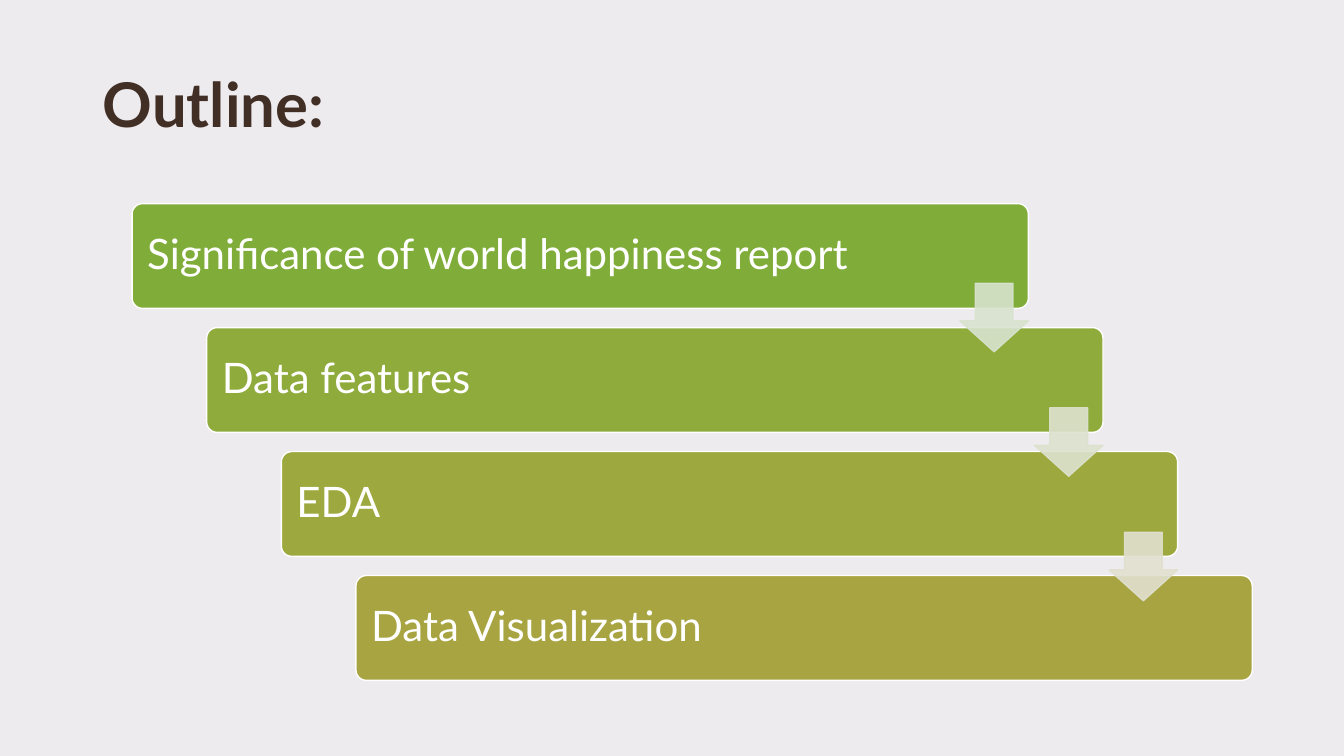
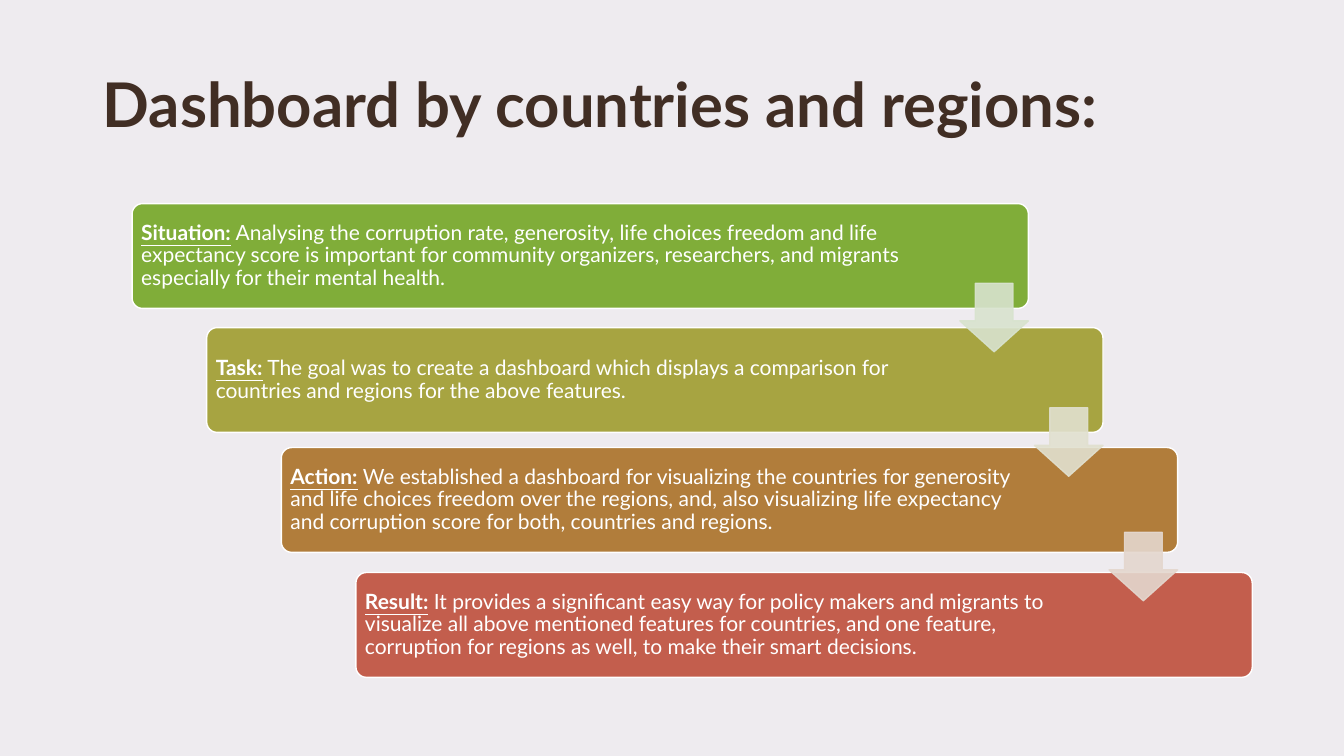
from dataclasses import dataclass

from lxml import etree
from pptx import Presentation
from pptx.dml.color import RGBColor
from pptx.enum.shapes import MSO_SHAPE
from pptx.enum.text import MSO_ANCHOR, PP_ALIGN
from pptx.oxml.ns import qn
from pptx.util import Inches, Pt

BAR, ARROW = MSO_SHAPE.ROUNDED_RECTANGLE, MSO_SHAPE.DOWN_ARROW
MIDDLE, LEFT = MSO_ANCHOR.MIDDLE, PP_ALIGN.LEFT
FONT = "Lato"
COLORS = {
    "back": "EEEBEF", "title": "412E24", "white": "FFFFFF",
    "green": "80AD39", "lime": "8FAB3C", "moss": "9DA93E",
    "olive": "A7A441", "brown": "B17D3B", "red": "C35E4D",
    "pale green": "D8E3CE", "pale lime": "DDE2CE",
    "pale olive": "E1E0CF", "pale brown": "E4D7CE",
}

# Staircase grid, in inches
BAR_X, BAR_Y, BAR_W, BAR_H = 1.31, 2.02, 8.89, 1.04
ARROW_X, ARROW_Y, ARROW_W = 9.52, 2.81, 0.68
STEP_X, STEP_Y, ARROW_STEP = 0.74, 1.23, 1.235
FIRST_GAP, GAP = 1.16, 1.43  # space kept free for the arrows


@dataclass
class Step:
    text: str
    fill: str
    lead: str = ""
    lift: float = 0


@dataclass
class Page:
    title: str
    size: int
    inset: float
    steps: list[Step]
    arrows: list[str]


PAGES = [
    Page("Outline:", 30, 0.12, [
        Step("Significance of world happiness report", "green"),
        Step("Data features", "lime"),
        Step("EDA", "moss"),
        Step("Data Visualization", "olive"),
    ], ["pale green", "pale lime", "pale olive"]),
    Page("Dashboard by countries and regions:", 15, 0.06, [
        Step(" Analysing the corruption rate, generosity, life choices freedom "
             "and life expectancy score is important for community organizers, "
             "researchers, and migrants especially for their mental health.",
             "green", "Situation:"),
        Step(" The goal was to create a dashboard which displays a comparison "
             "for countries and regions for the above features.",
             "olive", "Task:"),
        Step(" We established a dashboard for visualizing the countries for "
             "generosity and life choices freedom over the regions, and, also "
             "visualizing life expectancy and corruption score for both, "
             "countries and regions.", "brown", "Action:", 0.04),
        Step(" It provides a significant easy way for policy makers and "
             "migrants to visualize all above mentioned features for countries, "
             "and one feature, corruption for regions as well, to make their "
             "smart decisions.", "red", "Result:", 0.03),
    ], ["pale green", "pale olive", "pale brown"]),
]


def color(name: str) -> RGBColor:
    return RGBColor.from_string(COLORS[name])


def style(run, size: int, tint: str, bold: bool = False) -> None:
    run.font.name, run.font.size, run.font.bold = FONT, Pt(size), bold
    run.font.color.rgb = color(tint)


def add_shape(slide, kind, x: float, y: float, w: float, h: float,
              fill: str, line: str):
    shape = slide.shapes.add_shape(kind, Inches(x), Inches(y),
                                   Inches(w), Inches(h))
    shape.shadow.inherit = False
    shape.fill.solid()
    shape.fill.fore_color.rgb = color(fill)
    shape.line.color.rgb = color(line)
    shape.line.width = Pt(1)
    return shape


def add_title(slide, text: str) -> None:
    box = slide.shapes.add_textbox(Inches(0.92), Inches(0.61),
                                   Inches(11.32), Inches(1.4))
    frame = box.text_frame
    frame.word_wrap = True
    frame.text = text
    style(frame.paragraphs[0].runs[0], 44, "title", True)


def add_bar(slide, page: Page, i: int, step: Step) -> None:
    bar = add_shape(slide, BAR, BAR_X + i * STEP_X,
                    BAR_Y + i * STEP_Y - step.lift, BAR_W, BAR_H,
                    step.fill, "white")
    bar.adjustments[0] = 0.1
    frame = bar.text_frame
    frame.word_wrap = True
    frame.vertical_anchor = MIDDLE
    frame.margin_left = frame.margin_top = frame.margin_bottom = Inches(page.inset)
    frame.margin_right = Inches(page.inset + (GAP if i else FIRST_GAP))
    para = frame.paragraphs[0]
    para.alignment, para.line_spacing = LEFT, 0.9
    para.text = step.lead or step.text
    if step.lead:
        para.add_run().text = step.text
    for run in para.runs:
        style(run, page.size, "white")
    if step.lead:
        para.runs[0].font.bold = para.runs[0].font.underline = True


def add_arrow(slide, i: int, tint: str) -> None:
    arrow = add_shape(slide, ARROW, ARROW_X + i * STEP_X,
                      ARROW_Y + i * ARROW_STEP, ARROW_W, ARROW_W, tint, tint)
    arrow.adjustments[0], arrow.adjustments[1] = 0.55, 0.45
    # Fill and line at 90% opacity
    for node in arrow.element.spPr.iter(qn("a:srgbClr")):
        etree.SubElement(node, qn("a:alpha")).set("val", "90000")


def add_page(deck, page: Page) -> None:
    slide = deck.slides.add_slide(deck.slide_layouts[6])
    slide.background.fill.solid()
    slide.background.fill.fore_color.rgb = color("back")
    add_title(slide, page.title)
    for i, step in enumerate(page.steps):
        add_bar(slide, page, i, step)
    for i, tint in enumerate(page.arrows):
        add_arrow(slide, i, tint)


def main() -> None:
    deck = Presentation()
    deck.slide_width, deck.slide_height = Inches(13.33), Inches(7.5)
    for page in PAGES:
        add_page(deck, page)
    deck.save("out.pptx")


if __name__ == "__main__":
    main()
